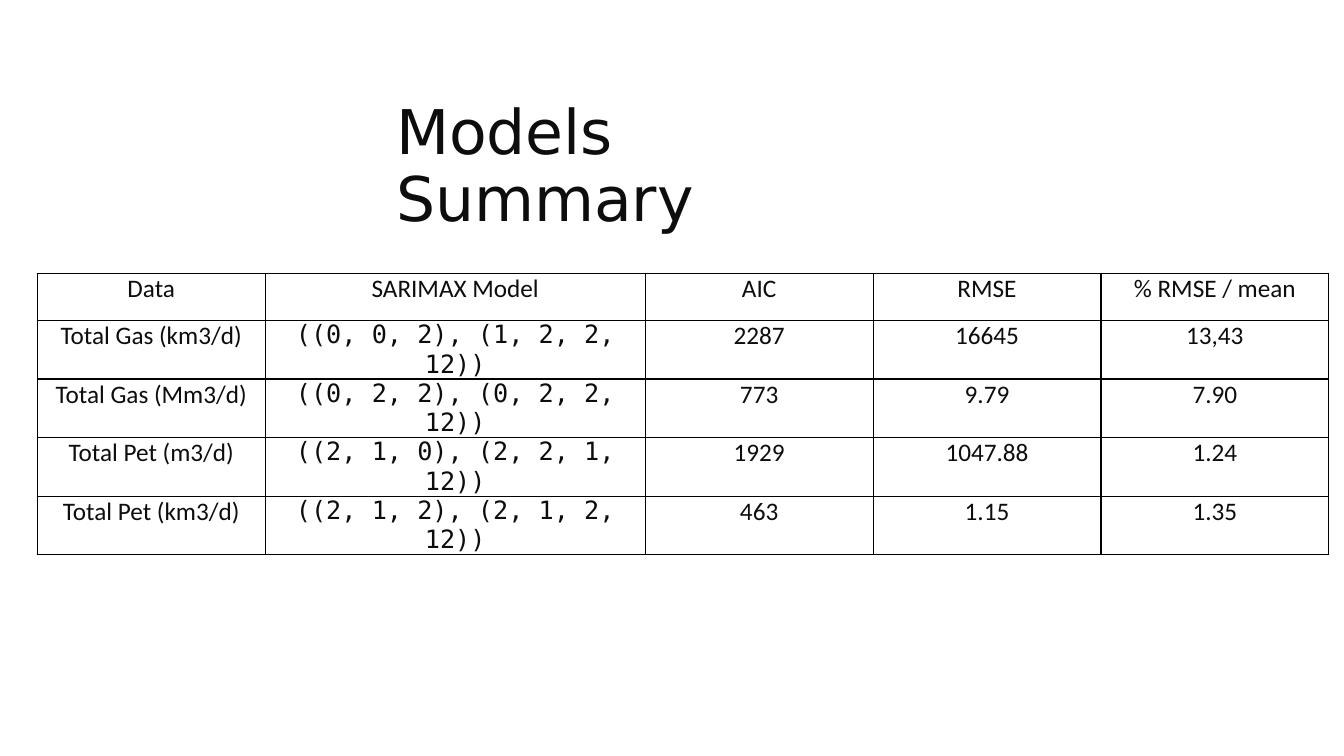
from lxml import etree
from pptx import Presentation
from pptx.dml.color import RGBColor
from pptx.enum import text
from pptx.oxml.ns import qn
from pptx.util import Inches, Pt

TITLE = "Models Summary"
HEADER = ("Data", "SARIMAX Model", "AIC", "RMSE", "% RMSE / mean")
MODELS = [
    ("Total Gas (km3/d)", "((0, 0, 2), (1, 2, 2, 12))", "2287", "16645", "13,43"),
    ("Total Gas (Mm3/d)", "((0, 2, 2), (0, 2, 2, 12))", "773", "9.79", "7.90"),
    ("Total Pet (m3/d)", "((2, 1, 0), (2, 2, 1, 12))", "1929", "1047.88", "1.24"),
    ("Total Pet (km3/d)", "((2, 1, 2), (2, 1, 2, 12))", "463", "1.15", "1.35"),
]
MODEL_COLUMN = HEADER.index("SARIMAX Model")
THEME = {
    "ink": "0D0D0D", "border": "000000", "border_width": Pt(1),
    "title": {"name": "DejaVu Sans", "size": Pt(44)},
    "body": {"name": "Calibri", "size": Pt(18)},
    "code": {"name": "DejaVu Sans Mono", "size": Pt(18)},
}
TITLE_BOX = (3.83, 0.96, 5, 0.83)
TABLE_AT = (0.37, 2.71)
COLUMN_WIDTH, MODEL_WIDTH, ROW_HEIGHT = 2.26, 3.77, 0.47
CELL_FORMAT = {
    "margin_left": Inches(0.07), "margin_right": Inches(0.07),
    "margin_top": 0, "margin_bottom": 0,
}


def apply(target, values):
    for name, value in values.items():
        setattr(target, name, value)


def write(para, words, style):
    span = para.add_run()
    span.text = words
    apply(span.font, THEME[style])
    span.font.color.rgb = RGBColor.from_string(THEME["ink"])


def outline(cell):
    """Draw a solid border on all four sides of a cell."""
    properties = cell._tc.get_or_add_tcPr()
    for position, side in enumerate(("lnL", "lnR", "lnT", "lnB")):
        line = etree.Element(qn(f"a:{side}"), w=str(THEME["border_width"]))
        fill = etree.SubElement(line, qn("a:solidFill"))
        etree.SubElement(fill, qn("a:srgbClr"), val=THEME["border"])
        properties.insert(position, line)


def add_title(page):
    box = page.shapes.add_textbox(*map(Inches, TITLE_BOX))
    apply(box.text_frame, {
        "word_wrap": True,
        "auto_size": text.MSO_AUTO_SIZE.NONE,
        "vertical_anchor": text.MSO_ANCHOR.TOP,
    })
    para = box.text_frame.paragraphs[0]
    para.line_spacing = 0.9
    write(para, TITLE, "title")


def add_models(page):
    rows = [HEADER, *MODELS]
    widths = [MODEL_WIDTH if column == MODEL_COLUMN else COLUMN_WIDTH
              for column in range(len(HEADER))]
    size = (sum(widths), ROW_HEIGHT * len(rows))
    table = page.shapes.add_table(
        len(rows), len(HEADER), *map(Inches, TABLE_AT + size)).table
    apply(table, {"first_row": False, "horz_banding": False})
    for column, width in zip(table.columns, widths):
        column.width = Inches(width)
    for r, row in enumerate(rows):
        table.rows[r].height = Inches(ROW_HEIGHT)
        for c, words in enumerate(row):
            cell = table.cell(r, c)
            apply(cell, CELL_FORMAT)
            cell.fill.background()
            outline(cell)
            para = cell.text_frame.paragraphs[0]
            para.alignment = text.PP_ALIGN.CENTER
            write(para, words, "code" if r and c == MODEL_COLUMN else "body")


def main():
    deck = Presentation()
    apply(deck, {"slide_width": Inches(13.33), "slide_height": Inches(7.5)})
    page = deck.slides.add_slide(deck.slide_layouts[6])
    add_title(page)
    add_models(page)
    deck.save("out.pptx")


if __name__ == "__main__":
    main()
